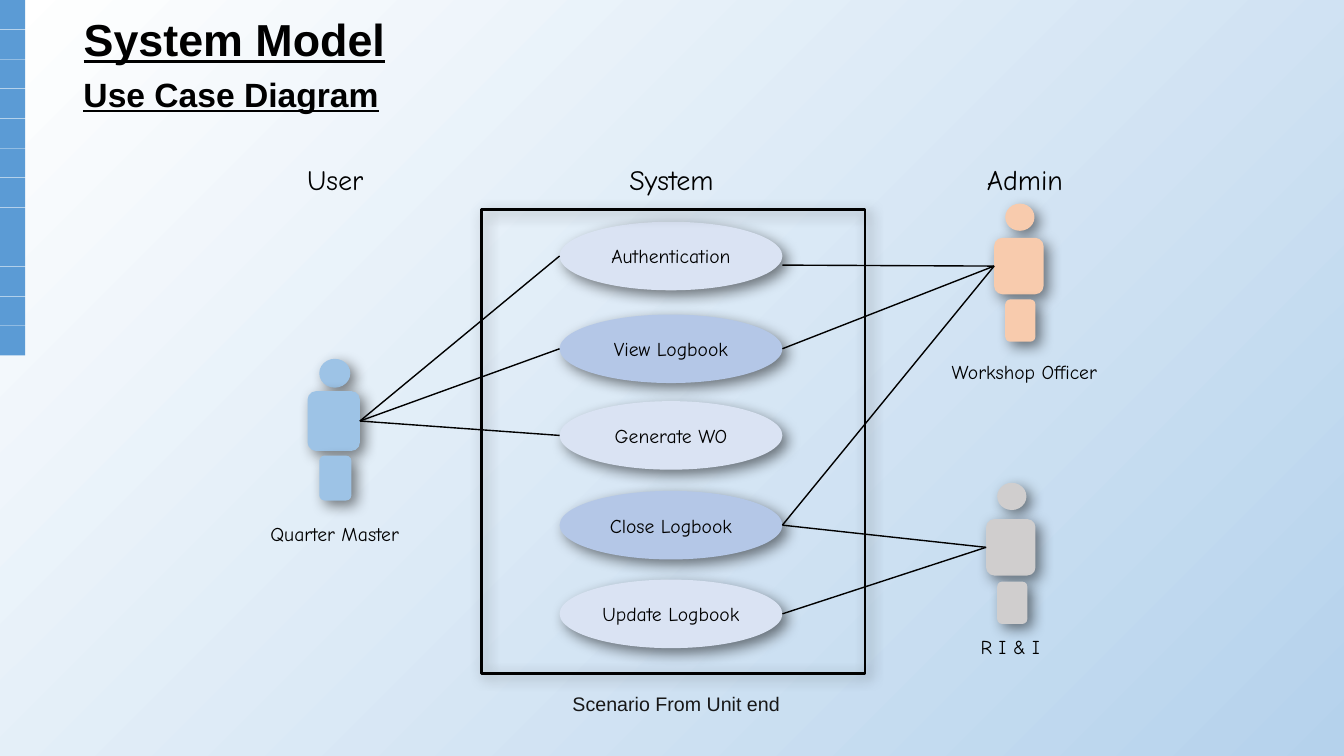
from lxml.etree import SubElement
from pptx import Presentation
from pptx.dml.color import RGBColor
from pptx.enum.shapes import MSO_CONNECTOR, MSO_SHAPE
from pptx.enum.text import MSO_ANCHOR, MSO_AUTO_SIZE, PP_ALIGN
from pptx.oxml.ns import qn
from pptx.util import Inches, Pt

BLACK = RGBColor(0x00, 0x00, 0x00)
WHITE = RGBColor(0xFF, 0xFF, 0xFF)
SKY = RGBColor(0xB5, 0xD2, 0xEC)
CAPTION_GREY = RGBColor(0x17, 0x17, 0x17)
STRIP_BLUE = RGBColor(0x5B, 0x9B, 0xD5)
PALE_BLUE = RGBColor(0xDA, 0xE3, 0xF3)
MID_BLUE = RGBColor(0xB4, 0xC7, 0xE7)
USER_BLUE = RGBColor(0x9D, 0xC3, 0xE6)
OFFICER_PEACH = RGBColor(0xF8, 0xCB, 0xAD)
INSPECTOR_GREY = RGBColor(0xD0, 0xCE, 0xCE)

HEADING_FONT = "Arial"
DIAGRAM_FONT = "Comic Neue"

# Name: top
USE_CASES = {
    "Authentication": 2.2,
    "View Logbook": 3.12,
    "Generate WO": 3.98,
    "Close Logbook": 4.87,
    "Update Logbook": 5.75,
}
# Name: left, width, top of head, top of body, top of legs, colour
ACTORS = {
    "Quarter Master": (3.05, 0.52, 3.56, 3.88, 4.52, USER_BLUE),
    "Workshop Officer": (9.86, 0.49, 2.02, 2.36, 2.97, OFFICER_PEACH),
    "R I & I": (9.78, 0.49, 4.79, 5.15, 5.77, INSPECTOR_GREY),
}
# Actor, side of its body, use case, drop below the middle of the use case
LINKS = [
    ("Quarter Master", 3, "Authentication", 0),
    ("Quarter Master", 3, "View Logbook", 0),
    ("Quarter Master", 3, "Generate WO", 0),
    ("Workshop Officer", 1, "Close Logbook", 0),
    ("Workshop Officer", 1, "View Logbook", 0),
    ("Workshop Officer", 1, "Authentication", 0.09),
    ("R I & I", 1, "Update Logbook", 0),
    ("R I & I", 1, "Close Logbook", 0),
]
# Text, left, top, width, height, size
LABELS = [
    ("Quarter Master", 2.35, 5.13, 1.94, 0.28, 14),
    ("R I & I", 9.05, 6.25, 1.94, 0.28, 14),
    ("Workshop Officer", 9.19, 3.52, 1.94, 0.28, 14),
    ("User", 2.76, 1.56, 1.13, 0.36, 20),
    ("System", 5.96, 1.56, 1.4, 0.36, 20),
    ("Admin", 9.59, 1.56, 1.15, 0.36, 20),
]


def inches(*lengths):
    return [Inches(length) for length in lengths]


def write(shape, text, size, font=DIAGRAM_FONT, color=BLACK,
          align=PP_ALIGN.CENTER, heading=False):
    shape.text_frame.text = text
    paragraph = shape.text_frame.paragraphs[0]
    paragraph.alignment = align
    run_font = paragraph.runs[0].font
    run_font.name = font
    run_font.size = Pt(size)
    run_font.color.rgb = color
    if heading:
        run_font.bold = True
        run_font.underline = True
    return paragraph


def add_text(slide, box, text, size, **style):
    shape = slide.shapes.add_textbox(*inches(*box))
    shape.text_frame.word_wrap = True
    return write(shape, text, size, **style)


def add_block(shapes, preset, box, color):
    shape = shapes.add_shape(preset, *inches(*box))
    shape.fill.solid()
    shape.fill.fore_color.rgb = color
    shape.line.fill.background()
    shape.shadow.inherit = False
    return shape


def cast_shadow(shape, opacity, distance):
    effects = shape._element.spPr.find(qn("a:effectLst"))
    shadow = SubElement(effects, qn("a:outerShdw"), blurRad=str(Pt(10)),
                        dist=str(Pt(distance)), dir="2700000",
                        algn="tl", rotWithShape="0")
    color = SubElement(shadow, qn("a:srgbClr"), val="000000")
    SubElement(color, qn("a:alpha"), val=str(opacity * 1000))


def set_background(slide):
    fill = slide.background.fill
    fill.gradient()
    fill.gradient_angle = 315
    for stop, color in zip(fill.gradient_stops, (WHITE, SKY)):
        stop.color.rgb = color


def add_headings(slide, left, top, width):
    title = slide.shapes.title
    title.left, title.top, title.width, title.height = inches(left, top, width, 0.84)
    title.text_frame.vertical_anchor = MSO_ANCHOR.BOTTOM
    title.text_frame.auto_size = MSO_AUTO_SIZE.NONE
    style = dict(font=HEADING_FONT, align=PP_ALIGN.LEFT, heading=True)
    write(title, "System Model", 32, **style)
    add_text(slide, (left, top + 0.82, width, 0.5), "Use Case Diagram", 24, **style)


def add_use_cases(slide, left, width, height):
    """Return the left, right and middle of each use case by name."""
    places = {}
    for index, (name, top) in enumerate(USE_CASES.items()):
        color = MID_BLUE if index % 2 else PALE_BLUE
        ellipse = add_block(slide.shapes, MSO_SHAPE.OVAL,
                            (left, top, width, height), color)
        cast_shadow(ellipse, 50, 5)
        ellipse.text_frame.vertical_anchor = MSO_ANCHOR.MIDDLE
        write(ellipse, name, 14)
        places[name] = (left, left + width, top + height / 2)
    return places


def add_actor(slide, left, width, head_top, body_top, legs_top, color):
    """Draw a figure and return its body."""
    scale = width / 0.49
    inset = left + 0.11 * scale
    group = slide.shapes.add_group_shape()
    parts = [
        (MSO_SHAPE.OVAL, (inset, head_top, 0.29 * scale, 0.27 * scale)),
        (MSO_SHAPE.ROUNDED_RECTANGLE, (left, body_top, width, 0.56 * scale)),
        (MSO_SHAPE.ROUNDED_RECTANGLE, (inset, legs_top, 0.3 * scale, 0.42 * scale)),
    ]
    blocks = [add_block(group.shapes, preset, box, color) for preset, box in parts]
    for block in blocks:
        cast_shadow(block, 50, 5)
    return blocks[1]


def add_links(slide, bodies, places):
    for actor, side, use_case, drop in LINKS:
        left, right, middle = places[use_case]
        end_x = left if side == 3 else right
        connector = slide.shapes.add_connector(
            MSO_CONNECTOR.STRAIGHT, 0, 0, *inches(end_x, middle + drop))
        connector.begin_connect(bodies[actor], side)
        connector.line.color.rgb = BLACK
        connector.line.width = Pt(1)
        SubElement(connector._element.spPr, qn("a:effectLst"))


def add_system_frame(slide, left, top, width, height):
    frame = add_block(slide.shapes, MSO_SHAPE.RECTANGLE,
                      (left, top, width, height), WHITE)
    frame.fill.background()
    frame.line.color.rgb = BLACK
    frame.line.width = Pt(2)
    cast_shadow(frame, 40, 3)
    # Caption under the frame
    caption = add_text(slide, (left + 0.8, top + height + 0.12, 2.53, 0.33),
                       "Scenario From Unit end", 14, font=HEADING_FONT,
                       color=CAPTION_GREY, align=PP_ALIGN.LEFT)
    caption.line_spacing = 1.07


def add_side_strip(slide, left, top, width, height, count=12):
    pitch = height / count
    for index in range(count):
        add_block(slide.shapes, MSO_SHAPE.RECTANGLE,
                  (left, top + index * pitch, width, 0.29), STRIP_BLUE)


def main():
    presentation = Presentation()
    presentation.slide_width, presentation.slide_height = inches(13.33, 7.5)
    slide = presentation.slides.add_slide(presentation.slide_layouts[5])
    set_background(slide)
    add_headings(slide, 0.73, -0.14, 3.24)

    # Diagram
    places = add_use_cases(slide, 5.55, 2.21, 0.68)
    bodies = {name: add_actor(slide, *figure) for name, figure in ACTORS.items()}
    add_links(slide, bodies, places)
    for text, *box, size in LABELS:
        add_text(slide, box, text, size)
    add_system_frame(slide, 4.78, 2.08, 3.8, 4.6)

    add_side_strip(slide, 0, 0, 0.25, 3.53)
    presentation.save("out.pptx")


if __name__ == "__main__":
    main()
